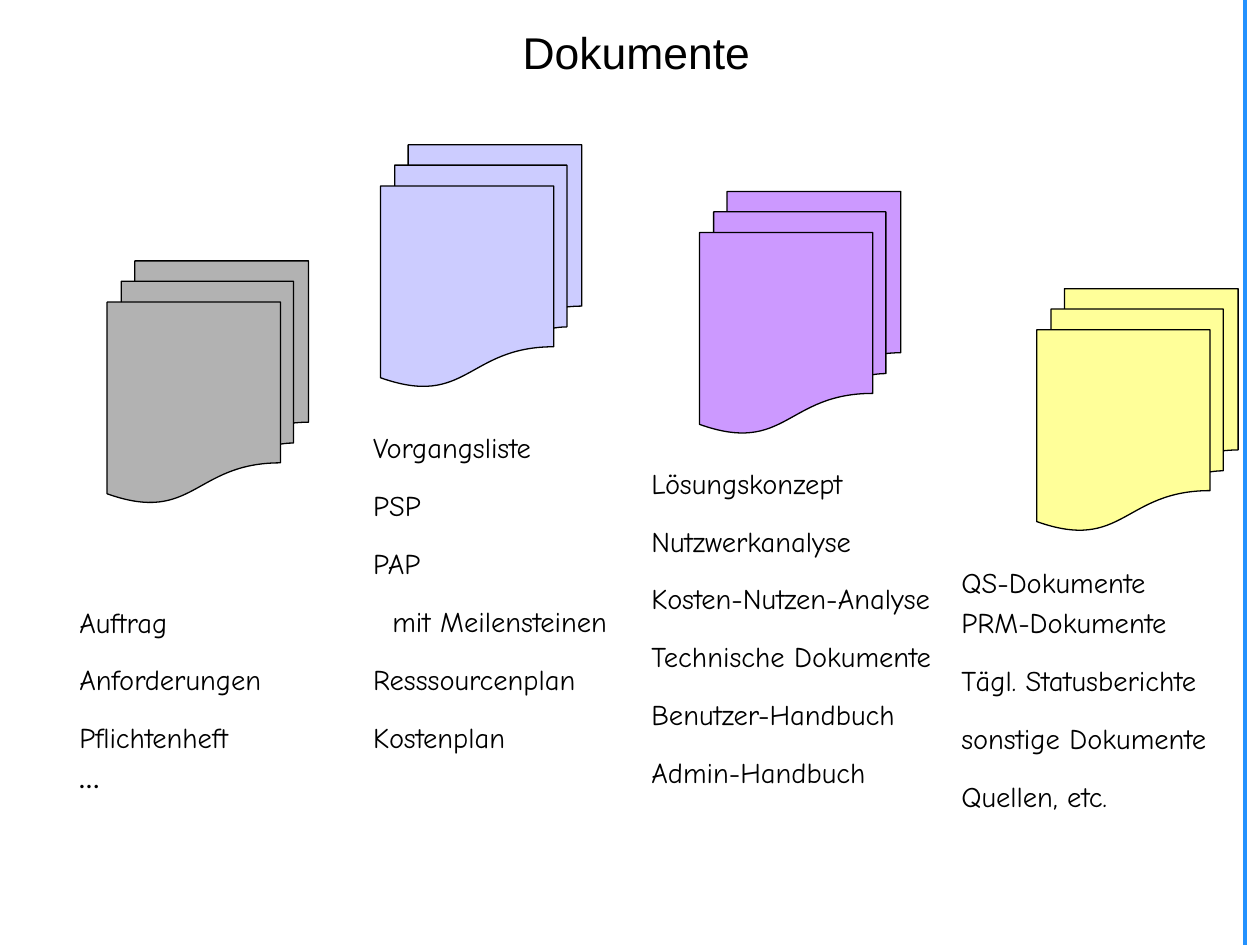
from pptx import Presentation
from pptx.dml.color import RGBColor
from pptx.enum.shapes import MSO_CONNECTOR, MSO_SHAPE
from pptx.enum.text import MSO_ANCHOR, MSO_AUTO_SIZE as FIT, PP_ALIGN as ALIGN
from pptx.oxml.xmlchemy import OxmlElement
from pptx.util import Cm, Pt

BLACK = RGBColor(0x00, 0x00, 0x00)
BLUE = RGBColor(0x24, 0x92, 0xFF)
GREY = RGBColor(0xB2, 0xB2, 0xB2)
LAVENDER = RGBColor(0xCC, 0xCC, 0xFF)
VIOLET = RGBColor(0xCC, 0x99, 0xFF)
YELLOW = RGBColor(0xFF, 0xFF, 0x99)

SLIDE_W, SLIDE_H = Cm(25.4), Cm(19.05)
LIST_W = 6.17
ICON_W, ICON_H = 4.06, 4.88
INDENTED = "mit Meilensteinen"
ELLIPSIS = "…"

FRAME = {"word_wrap": True, "margin_left": Cm(0.23), "margin_right": Cm(0.23),
         "margin_top": Cm(0.13), "margin_bottom": Cm(0.13)}
TITLE_FRAME = {**FRAME, "auto_size": FIT.NONE, "vertical_anchor": MSO_ANCHOR.MIDDLE}
LIST_FRAME = {**FRAME, "auto_size": FIT.SHAPE_TO_FIT_TEXT,
              "vertical_anchor": MSO_ANCHOR.TOP}
TITLE_PARA = {"alignment": ALIGN.CENTER, "line_spacing": 0.93}
LIST_PARA = {"alignment": ALIGN.LEFT, "line_spacing": 1.17, "space_before": Pt(10.2)}
TITLE_FONT = {"name": "Arial", "size": Pt(25.4), "bold": False}
LIST_FONT = {"name": "Comic Neue", "size": Pt(16.3), "bold": False}

# list box (left, top, height), icon offset from the list box, colour, entries
COLUMNS = [
    ((1.37, 11.94, 4.17), (0.79, -6.68), GREY,
     ["Auftrag", "Anforderungen", "Pflichtenheft\n" + ELLIPSIS]),
    ((7.29, 8.43, 8.03), (0.38, -5.51), LAVENDER,
     ["Vorgangsliste", "PSP", "PAP", INDENTED, "Resssourcenplan", "Kostenplan"]),
    ((12.9, 9.14, 9.3), (1.2, -5.28), VIOLET,
     ["Lösungskonzept", "Nutzwerkanalyse", "Kosten-Nutzen-Analyse",
      "Technische Dokumente", "Benutzer-Handbuch", "Admin-Handbuch"]),
    ((19.15, 11.15, 5.33), (1.75, -5.33), YELLOW,
     ["QS-Dokumente\nPRM-Dokumente", "Tägl. Statusberichte",
      "sonstige Dokumente", "Quellen, etc."]),
]


def apply(obj, values):
    for name, value in values.items():
        setattr(obj, name, value)


def place(sp, left, top, width, height):
    apply(sp, {"left": Cm(left), "top": Cm(top),
               "width": Cm(width), "height": Cm(height)})


def add_text(p, text, font):
    r = p.add_run()
    r.text = text
    apply(r.font, font)
    r.font.color.rgb = BLACK


def remove_bullet(p, indent):
    pPr = p._p.get_or_add_pPr()
    pPr.set("marL", str(indent))
    pPr.set("indent", "0")
    pPr.append(OxmlElement("a:buNone"))


def fill_title(sp, box):
    place(sp, *box)
    tf = sp.text_frame
    apply(tf, TITLE_FRAME)
    p = tf.paragraphs[0]
    apply(p, TITLE_PARA)
    add_text(p, "Dokumente", TITLE_FONT)


def fill_list(sp, box, entries):
    place(sp, *box)
    tf = sp.text_frame
    apply(tf, LIST_FRAME)
    for i, entry in enumerate(entries):
        p = tf.add_paragraph() if i else tf.paragraphs[0]
        apply(p, LIST_PARA)
        remove_bullet(p, Cm(0.39) if entry == INDENTED else 0)
        for n, line in enumerate(entry.split("\n")):
            if n:
                p.add_line_break()
            font = {**LIST_FONT, "name": "Calibri"} if line == ELLIPSIS else LIST_FONT
            add_text(p, line, font)


def add_column(s, sp, box, offset, color, entries):
    left, top, height = box
    fill_list(sp, (left, top, LIST_W, height), entries)
    icon = s.shapes.add_shape(MSO_SHAPE.FLOWCHART_MULTIDOCUMENT, 0, 0, 0, 0)
    place(icon, left + offset[0], top + offset[1], ICON_W, ICON_H)
    icon.shadow.inherit = False
    icon.fill.solid()
    icon.fill.fore_color.rgb = color
    icon.line.color.rgb = BLACK
    icon.line.width = Pt(0.75)


def add_edge(s, x):
    line = s.shapes.add_connector(MSO_CONNECTOR.STRAIGHT, x, SLIDE_H, x, 0)
    line.line.color.rgb = BLUE
    line.line.width = Pt(2.25)
    line._element.spPr.append(OxmlElement("a:effectLst"))


def main():
    prs = Presentation()
    prs.slide_width, prs.slide_height = SLIDE_W, SLIDE_H
    s = prs.slides.add_slide(prs.slide_layouts.get_by_name("Comparison"))
    title, *lists = s.placeholders
    add_edge(s, Cm(25.1))
    fill_title(title, (9.96, 0.41, 5.74, 1.37))
    for sp, column in zip(lists, COLUMNS):
        add_column(s, sp, *column)
    prs.save("out.pptx")


if __name__ == "__main__":
    main()
